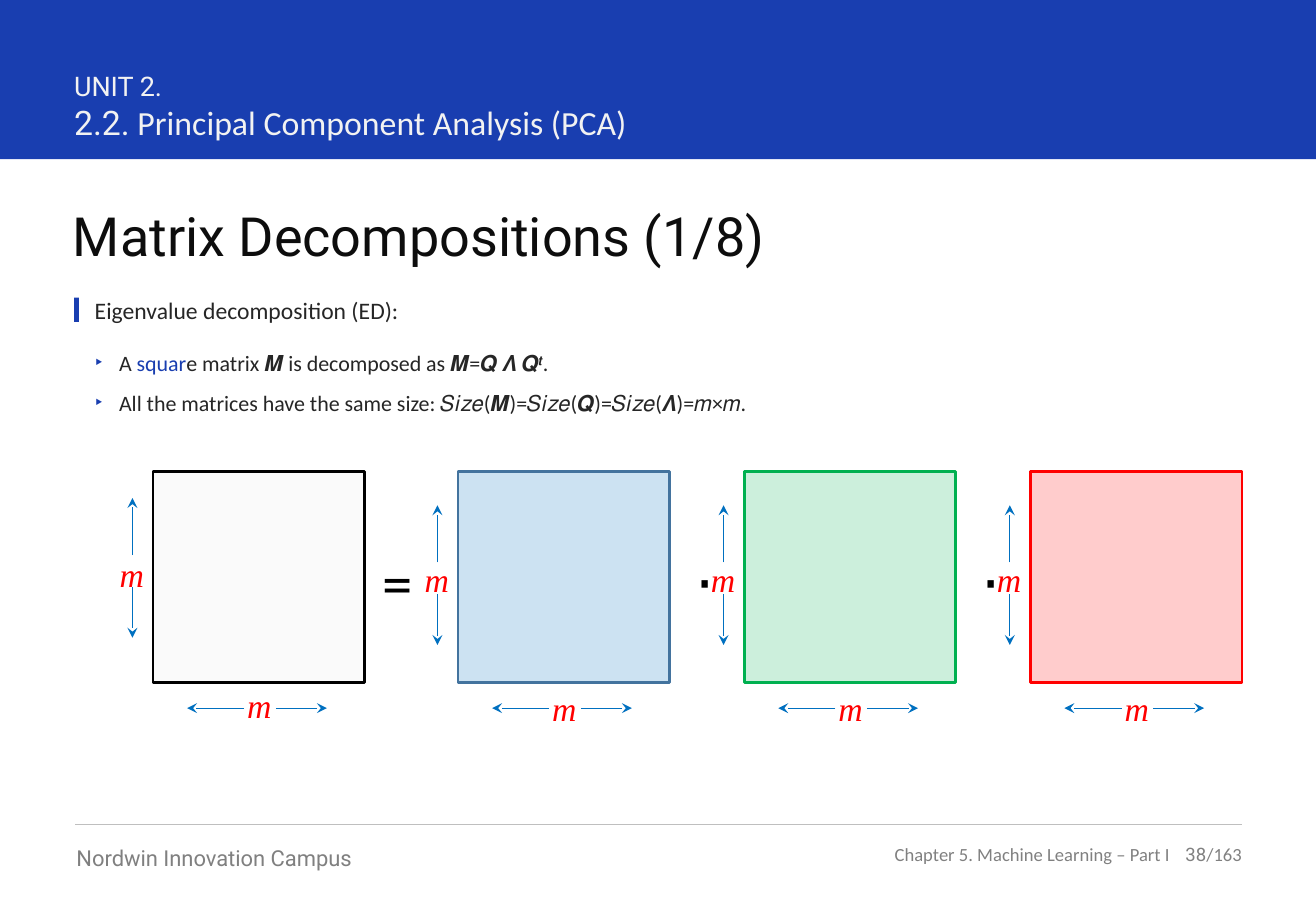
from lxml.etree import SubElement
from pptx import Presentation
from pptx.dml.color import RGBColor
from pptx.enum.shapes import MSO_CONNECTOR as Link, MSO_SHAPE as Shape
from pptx.enum.text import MSO_ANCHOR as Anchor, MSO_AUTO_SIZE as Auto, PP_ALIGN as Align
from pptx.oxml.ns import qn
from pptx.util import Inches, Pt

BLUE, GRAY, INK, PALE = "193EB0", "808080", "262626", "F2F2F2"
SANS, ROBOTO, SERIF = "Calibri", "Roboto", "Times New Roman"
SIDE, TOP = 1.74, 3.88


def color(code):
    return RGBColor.from_string(code)


def place(shape, box):
    shape.left, shape.top, shape.width, shape.height = map(Inches, box)


def setup(frame, inset, anchor=Anchor.TOP):
    frame.word_wrap = True
    frame.auto_size = Auto.NONE
    frame.vertical_anchor = anchor
    (frame.margin_left, frame.margin_top,
     frame.margin_right, frame.margin_bottom) = map(Inches, inset)


def add_run(para, text, size, font, code, italic=False):
    run = para.add_run()
    run.text = text
    run.font.size = Pt(size)
    run.font.name = font
    run.font.color.rgb = color(code)
    if italic:
        run.font.italic = True
    return run


def add_text(slide, box, runs, align=Align.LEFT, inset=(0, 0, 0, 0), anchor=Anchor.TOP):
    frame = slide.shapes.add_textbox(*map(Inches, box)).text_frame
    setup(frame, inset, anchor)
    para = frame.paragraphs[0]
    para.alignment = align
    for run in runs:
        add_run(para, *run)
    return para


def add_label(slide, box, *run):
    add_text(slide, box, [run], Align.CENTER, (0.1, 0.05, 0.1, 0.05))


def add_rect(slide, box, fill, line=None, alpha=None):
    rect = slide.shapes.add_shape(Shape.RECTANGLE, *map(Inches, box))
    rect.shadow.inherit = False
    rect.fill.solid()
    rect.fill.fore_color.rgb = color(fill)
    if alpha:
        tint = rect.element.spPr.find(qn("a:solidFill")).find(qn("a:srgbClr"))
        SubElement(tint, qn("a:alpha"), val=str(alpha * 1000))
    if line:
        rect.line.color.rgb = color(line)
        rect.line.width = Pt(1.5)
    else:
        rect.line.fill.background()


def add_line(slide, start, end, code, arrow=False):
    line = slide.shapes.add_connector(Link.STRAIGHT, *map(Inches, start + end))
    line.line.color.rgb = color(code)
    line.line.width = Pt(0.5)
    if arrow:
        SubElement(line.line._get_or_add_ln(), qn("a:tailEnd"), type="stealth")
    SubElement(line.element.spPr, qn("a:effectLst"))


def add_bullet(para):
    props = para._p.get_or_add_pPr()
    props.set("marL", str(Inches(0.2)))
    props.set("indent", str(-Inches(0.2)))
    tint = SubElement(props, qn("a:buClr"))
    SubElement(tint, qn("a:srgbClr"), val=BLUE)
    SubElement(props, qn("a:buFont"), typeface=SANS)
    SubElement(props, qn("a:buChar"), char="‣")
    para.space_before = Pt(0)
    para.space_after = Pt(8)


def add_frame(slide):
    add_rect(slide, (0, 0, 10.83, 1.31), BLUE)
    add_text(slide, (7.16, 6.94, 2.47, 0.19),
             [("Chapter 5. Machine Learning – Part I", 11, SANS, GRAY)],
             Align.RIGHT, anchor=Anchor.MIDDLE)
    add_text(slide, (9.63, 6.94, 0.59, 0.19),
             [("38", 11, ROBOTO, GRAY), ("/163", 11, SANS, GRAY)],
             Align.RIGHT, anchor=Anchor.MIDDLE)
    add_line(slide, (0.62, 6.79), (10.22, 6.79), "BFBFBF")
    add_text(slide, (0.63, 6.95, 3.16, 0.22),
             [("Nordwin Innovation Campus", 13, ROBOTO, GRAY)])
    unit = add_text(slide, (0.61, 0.57, 6.37, 0.61), [("UNIT 2.", 16, ROBOTO, PALE)])
    unit.add_line_break()
    add_run(unit, "2.2.", 20, ROBOTO, PALE)
    add_run(unit, " Principal Component Analysis (PCA)", 20, SANS, PALE)


def add_title(slide):
    title = slide.shapes.title
    place(title, (0.6, 1.67, 9.62, 0.54))
    setup(title.text_frame, (0, 0, 0, 0))
    para = title.text_frame.paragraphs[0]
    para.alignment = Align.LEFT
    add_run(para, "Matrix Decompositions (1/8)", 32, ROBOTO, "0D0D0D")


def add_list(slide):
    add_rect(slide, (0.61, 2.45, 0.04, 0.2), BLUE)
    add_text(slide, (0.78, 2.44, 9.44, 0.24),
             [("Eigenvalue decomposition (ED):", 14, SANS, INK)])
    body = slide.placeholders[1]
    place(body, (0.78, 2.8, 9.44, 1.04))
    frame = body.text_frame
    setup(frame, (0, 0.08, 0.16, 0.08))
    first, second = frame.paragraphs[0], frame.add_paragraph()
    for para in (first, second):
        add_bullet(para)
    add_run(first, "A ", 13, SANS, INK)
    add_run(first, "squar", 13, SANS, BLUE)
    add_run(first, "e matrix 𝑴 is decomposed as 𝑴=𝑸 𝜦 𝑸", 13, SANS, INK)
    power = add_run(first, "𝒕", 13, SANS, INK)
    power._r.get_or_add_rPr().set("baseline", "30000")
    add_run(first, ".", 13, SANS, INK)
    add_run(second, "All the matrices have the same size: "
            "𝑆𝑖𝑧𝑒(𝑴)=𝑆𝑖𝑧𝑒(𝑸)=𝑆𝑖𝑧𝑒(𝜦)=𝑚×𝑚.", 13, SANS, INK)


def add_size(slide, x, y, top, upright):
    add_label(slide, (x - 0.42, top, 0.83, 0.39), "m", 20, SERIF, "FF0000", True)
    for near, far in ((0.13, 0.55), (-0.13, -0.6)):
        ends = [(x, y + gap) if upright else (x + gap, y) for gap in (near, far)]
        add_line(slide, *ends, "0070C0", True)


def add_matrix(slide, left, fill, line, mid, tops):
    add_rect(slide, (left, TOP, SIDE, SIDE), fill, line, 20)
    add_size(slide, left - 0.17, mid, tops[0], True)
    add_size(slide, left + SIDE / 2 + 0.01, 5.83, tops[1], False)


def main():
    deck = Presentation()
    deck.slide_width, deck.slide_height = Inches(10.83), Inches(7.5)
    slide = deck.slides.add_slide(deck.slide_layouts[1])
    add_frame(slide)
    add_title(slide)
    add_list(slide)
    for left, sign in ((2.86, "="), (5.39, "⋅"), (7.74, "⋅")):
        add_label(slide, (left, 4.44, 0.83, 0.63), sign, 36, SANS, "000000")
    add_matrix(slide, 1.26, "E7E6E6", "000000", 4.7, (4.51, 5.59))
    factors = (("0070C0", "43739E"), ("00B050", "00B050"), ("FF0000", "FF0000"))
    for i, (fill, line) in enumerate(factors):
        add_matrix(slide, 3.77 + 2.355 * i, fill, line, 4.76, (4.55, 5.61))
    deck.save("out.pptx")


if __name__ == "__main__":
    main()
